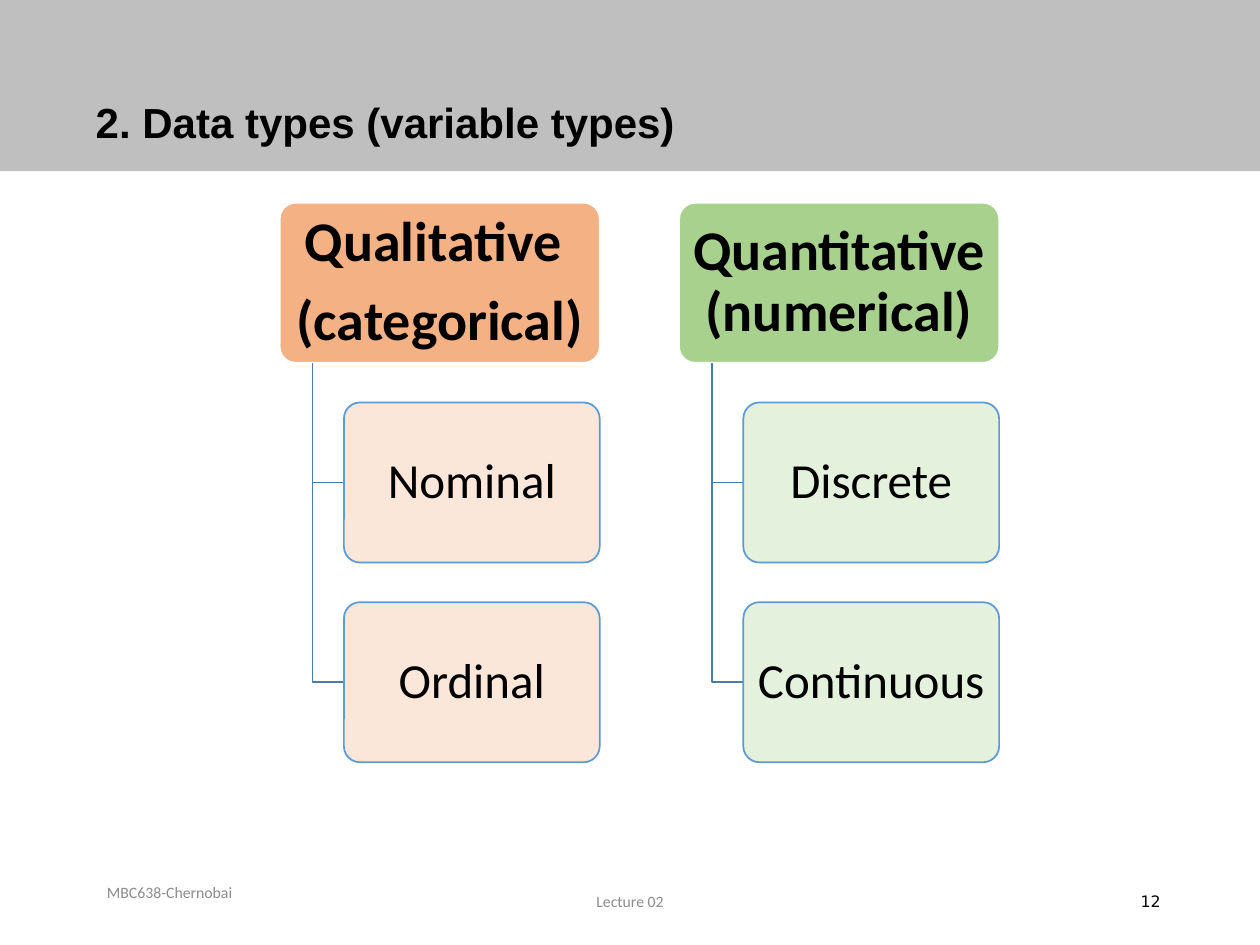
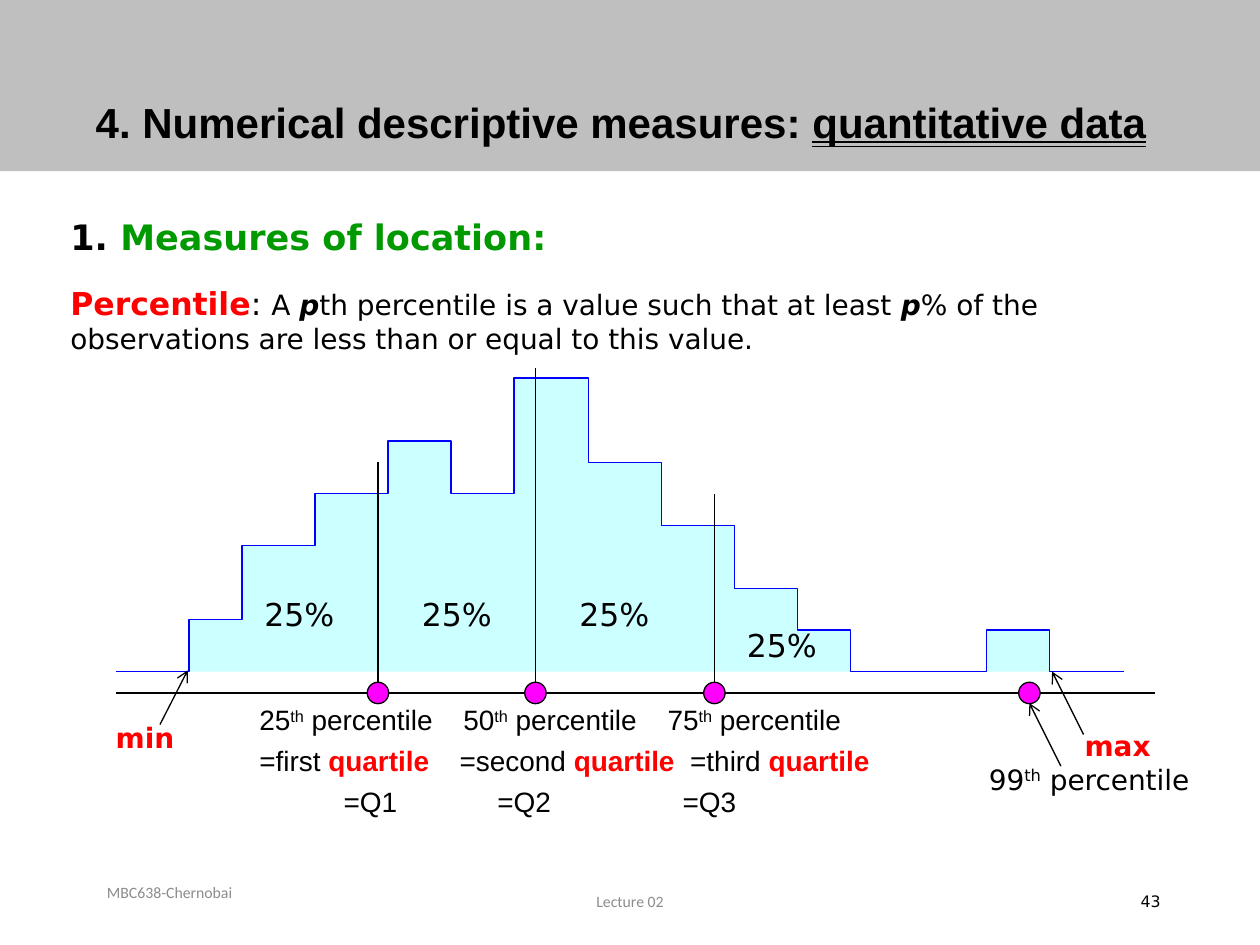
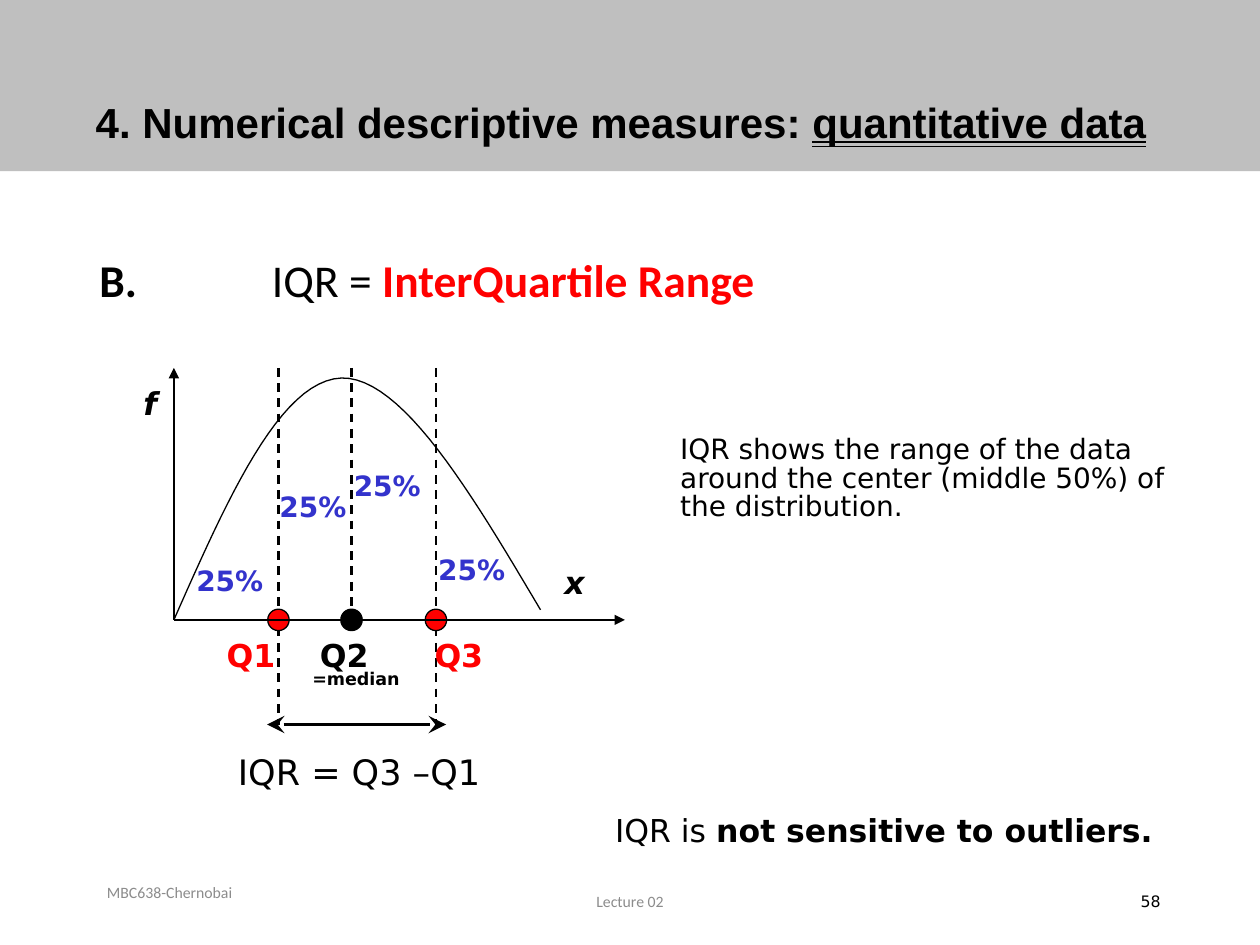
"""Build three statistics lecture slides on data types, percentiles and the IQR."""
from itertools import pairwise

from lxml.etree import SubElement
from pptx import Presentation
from pptx.dml.color import RGBColor
from pptx.enum.dml import MSO_LINE
from pptx.enum.shapes import MSO_CONNECTOR, MSO_SHAPE
from pptx.enum.text import MSO_ANCHOR, MSO_AUTO_SIZE, MSO_UNDERLINE, PP_ALIGN
from pptx.oxml.ns import qn
from pptx.util import Inches, Pt

BLACK, WHITE, RED, GREEN, BLUE = "000000", "FFFFFF", "FF0000", "009900", "0000FF"
GREY, BAND, VIOLET, MAGENTA, CYAN = "8C8C8C", "BFBFBF", "3333CC", "FF00FF", "CCFFFF"
BRANCH, CARD_EDGE = "497CAB", "5B9BD5"
ARIAL, CALIBRI, DEJAVU = "Arial", "Calibri", "DejaVu Sans"
LEFT, CENTER, RIGHT = PP_ALIGN.LEFT, PP_ALIGN.CENTER, PP_ALIGN.RIGHT

BOLD = {"bold": True}
BOLD_ITALIC = {"bold": True, "italic": True}
RED_BOLD = {"bold": True, "color": RED}
SUPER = {"raised": True}

DATA_TYPES_TITLE = [("2. Data types (variable types)", {})]
MEASURES_TITLE = [
    ("4. Numerical descriptive measures: ", {}),
    ("quantitative data", {"underline": MSO_UNDERLINE.DOUBLE_LINE}),
]

DATA_TYPES = [
    (["Qualitative ", "(categorical)"], "F4B183", ["Nominal", "Ordinal"], "FBE5D6"),
    (["Quantitative (numerical)"], "A9D18E", ["Discrete", "Continuous"], "E2F0D9"),
]

PERCENTILE_INTRO = [
    [("1. ", BOLD), ("Measures of location:", {"bold": True, "color": GREEN})],
    [
        ("Percentile", {"bold": True, "color": RED, "size": 18}),
        (": ", {"size": 18}),
        ("A ", {"size": 16}),
        ("p", {"size": 16, **BOLD_ITALIC}),
        ("th percentile is a value such that at least ", {"size": 16}),
        ("p", {"size": 16, **BOLD_ITALIC}),
        ("% of the observations are less than or equal to this value.", {"size": 16}),
    ],
]
HISTOGRAM_END = 8.92
HISTOGRAM = [
    (0.92, 5.33), (1.5, 4.92), (1.92, 4.33), (2.5, 3.92), (3.08, 3.5),
    (3.58, 3.92), (4.08, 3), (4.67, 3.67), (5.25, 4.17), (5.83, 4.67),
    (6.33, 5), (6.75, 5.33), (7.83, 5), (8.33, 5.33),
]
QUARTILE_LINES = [(4.25, 2.92), (3, 3.67), (5.67, 3.92)]
HISTOGRAM_SHARES = [(2, 4.67), (3.25, 4.67), (4.5, 4.67), (5.83, 4.92)]
PERCENTILE_MARKS = [3, 4.25, 5.67, 8.17]
QUARTILES = [("25", "first", "Q1"), ("50", "second", "Q2"), ("75", "third", "Q3")]
QUARTILE_TABS = [(1.04, 2.66, 4.28), (1.04, 2.63, 4.46), (1.71, 2.93, 4.4)]
POINTERS = [((8.42, 6.08), (8.17, 5.58)), ((8.6, 5.83), (8.35, 5.33)), ((1.27, 5.75), (1.49, 5.32))]
EXTREMES = [("max", 8.51, 5.73), ("min", 0.82, 5.67)]

IQR_HEADING = [("B.", BOLD), ("\tIQR = ", {}), ("InterQuartile Range", RED_BOLD)]
IQR_MEANING = "IQR shows the range of the data around the center (middle 50%) of the distribution."
DENSITY_CURVE = [
    ((1.38, 4.92), (1.8, 3.97), (2.22, 3.02), (2.71, 3)),
    ((2.71, 3), (3.19, 2.99), (3.74, 3.91), (4.29, 4.84)),
]
IQR_CUTS = [(2.79, 5, BLACK), (2.21, 5.75, RED), (3.46, 5.75, RED)]
IQR_SHARES = [(1.46, 4.42), (2.12, 3.84), (2.71, 3.67), (3.38, 4.34)]
IQR_NAMES = [("\tQ1", RED_BOLD), ("\tQ2", BOLD), ("\tQ3", RED_BOLD)]
AXIS_NAMES = [("f", 1.04, 3, 0.33), ("x", 4.38, 4.42, 0.92)]


def rgb(value):
    """Turn a hex string into a colour."""
    return RGBColor.from_string(value)


def write(frame, paragraphs, size, font=DEJAVU, align=LEFT, spacing=None, gap=0, tabs=(),
          anchor=MSO_ANCHOR.TOP, **common):
    """Write paragraphs of (text, style) runs into a text frame."""
    frame.word_wrap = True
    frame.auto_size = MSO_AUTO_SIZE.NONE
    frame.vertical_anchor = anchor
    for index, runs in enumerate(paragraphs):
        paragraph = frame.add_paragraph() if index else frame.paragraphs[0]
        paragraph.alignment = align
        paragraph.space_before = Pt(gap if index else 0)
        if spacing:
            paragraph.line_spacing = spacing
        if tabs:
            stops = SubElement(paragraph._p.get_or_add_pPr(), qn("a:tabLst"))
            for stop in tabs[index]:
                SubElement(stops, qn("a:tab"), pos=str(Inches(stop)), algn="l")
        for text, own in runs:
            style = {**common, **own}
            run = paragraph.add_run()
            run.text = text
            run.font.name = font
            run.font.size = Pt(style.get("size", size))
            run.font.bold = style.get("bold", False)
            run.font.italic = style.get("italic", False)
            run.font.underline = style.get("underline", False)
            run.font.color.rgb = rgb(style.get("color", BLACK))
            if style.get("raised"):
                run._r.get_or_add_rPr().set("baseline", "30000")


def add_text(slide, box, paragraphs, size, **options):
    """Add a text box; a plain string is one paragraph of one run."""
    if isinstance(paragraphs, str):
        paragraphs = [[(paragraphs, {})]]
    frame = slide.shapes.add_textbox(*map(Inches, box)).text_frame
    write(frame, paragraphs, size, **options)


def paint(shape, fill=None, line=None, width=0.75, alpha=None):
    """Set the fill and outline of a shape and drop its shadow."""
    shape.shadow.inherit = False
    if fill:
        shape.fill.solid()
        shape.fill.fore_color.rgb = rgb(fill)
        if alpha:
            color = shape.fill._xPr.find(qn("a:solidFill"))[0]
            SubElement(color, qn("a:alpha"), val=str(alpha * 1000))
    else:
        shape.fill.background()
    if line:
        shape.line.color.rgb = rgb(line)
        shape.line.width = Pt(width)
    else:
        shape.line.fill.background()


def add_shape(slide, kind, box, **look):
    """Add a painted preset shape."""
    shape = slide.shapes.add_shape(kind, *map(Inches, box))
    paint(shape, **look)
    return shape


def add_outline(slide, points, **look):
    """Add an open outline through points given in inches."""
    points = [(Inches(x), Inches(y)) for x, y in points]
    builder = slide.shapes.build_freeform(*points[0], scale=1.0)
    builder.add_line_segments(points[1:], close=False)
    paint(builder.convert_to_shape(), **look)


def add_line(slide, start, end, width=0.75, dashed=False, head=None, tail=None, arrow_size="med"):
    """Add a black straight line with optional arrowheads."""
    line = slide.shapes.add_connector(MSO_CONNECTOR.STRAIGHT, *map(Inches, (*start, *end)))
    line.line.color.rgb = rgb(BLACK)
    line.line.width = Pt(width)
    if dashed:
        line.line.dash_style = MSO_LINE.DASH
    for tag, arrow in (("a:headEnd", head), ("a:tailEnd", tail)):
        if arrow:
            SubElement(line.line._get_or_add_ln(), qn(tag), type=arrow, w=arrow_size, len=arrow_size)
    SubElement(line._element.spPr, qn("a:effectLst"))


def add_dot(slide, x, y, fill):
    """Add a small round mark centred on a point."""
    side = 0.17
    add_shape(slide, MSO_SHAPE.OVAL, (x - side / 2, y - side / 2, side, side), fill=fill, line=BLACK)


def add_slide(deck, title_runs, number):
    """Add a slide with the shared band, title and footers."""
    slide = deck.slides.add_slide(deck.slide_layouts[5])
    band = add_shape(slide, MSO_SHAPE.RECTANGLE, (0, 0, 10, 1.36), fill=BAND)
    title = slide.shapes.title
    band._element.addnext(title._element)
    title.left, title.top, title.width, title.height = map(Inches, (0.66, 0.27, 8.62, 1.45))
    middle = MSO_ANCHOR.MIDDLE
    write(title.text_frame, [title_runs], 24, font=ARIAL, spacing=0.9, anchor=middle, bold=True)
    footers = [
        ((0.75, 6.83, 2.08, 0.5), "MBC638-Chernobai", CALIBRI, LEFT, GREY),
        ((3.31, 6.95, 3.38, 0.4), "Lecture 02", CALIBRI, CENTER, GREY),
        ((7.06, 6.95, 2.25, 0.4), str(number), DEJAVU, RIGHT, BLACK),
    ]
    for box, text, font, align, color in footers:
        add_text(slide, box, text, 9, font=font, align=align, anchor=middle, color=color)
    return slide


def add_card(slide, box, lines, size, bold=False, **look):
    """Add a rounded card with centred text."""
    card = add_shape(slide, MSO_SHAPE.ROUNDED_RECTANGLE, box, width=1, **look)
    card.adjustments[0] = 0.1
    frame = card.text_frame
    frame.margin_left = frame.margin_right = Inches(0.06)
    frame.margin_top = frame.margin_bottom = Inches(0.04)
    write(frame, [[(line, {})] for line in lines], size, font=CALIBRI, align=CENTER,
          spacing=0.9, gap=11, anchor=MSO_ANCHOR.MIDDLE, bold=bold)


def build_data_types(deck):
    """Draw the two families of variable types."""
    slide = add_slide(deck, DATA_TYPES_TITLE, 12)
    top, height, pitch = 1.61, 1.27, 1.585
    for column, (family, family_fill, members, member_fill) in enumerate(DATA_TYPES):
        left = 2.22 + 3.17 * column
        stem, member_left = left + 0.26, left + 0.51
        add_card(slide, (left, top, 2.54, height), family, 32, bold=True, fill=family_fill, line=WHITE)
        for row, member in enumerate(members, 1):
            member_top = top + pitch * row
            middle = member_top + height / 2
            add_outline(slide, [(stem, top + height), (stem, middle), (member_left, middle)],
                        line=BRANCH, width=1)
            add_card(slide, (member_left, member_top, 2.03, height), [member], 28,
                     fill=member_fill, alpha=90, line=CARD_EDGE)


def build_percentiles(deck):
    """Draw the histogram cut into quarters."""
    slide = add_slide(deck, MEASURES_TITLE, 43)
    axis = 5.5
    add_text(slide, (0.46, 1.66, 9.08, 1.25), PERCENTILE_INTRO, 20, gap=15)
    add_line(slide, (0.92, axis), (9.17, axis))
    steps = pairwise([*HISTOGRAM, (HISTOGRAM_END, None)])
    outline = [(x, y) for (start, y), (end, _) in steps for x in (start, end)]
    add_outline(slide, outline, fill=CYAN, line=BLUE)
    for x, top in QUARTILE_LINES:
        add_line(slide, (x, top), (x, axis))
    for left, top in HISTOGRAM_SHARES:
        add_text(slide, (left, top, 0.83, 0.4), "25%", 18)
    ranks, ordinals, symbols = [], [], []
    for rank, ordinal, symbol in QUARTILES:
        ranks += [(f"\t{rank}", {}), ("th", SUPER), (" percentile", {})]
        ordinals += [(f"\t={ordinal} ", {}), ("quartile", RED_BOLD)]
        symbols.append((f"\t={symbol}", {}))
    add_text(slide, (0.92, 5.58, 8.83, 1.02), [ranks, ordinals, symbols], 16, font=ARIAL,
             spacing=0.8, gap=8, tabs=QUARTILE_TABS)
    for x in PERCENTILE_MARKS:
        add_dot(slide, x, axis, MAGENTA)
    for start, end in POINTERS:
        add_line(slide, start, end, tail="arrow")
    add_text(slide, (7.75, 6, 2.25, 0.37), [[("99", {}), ("th", SUPER), (" percentile", {})]], 16)
    for name, left, top in EXTREMES:
        add_text(slide, (left, top, 0.89, 0.37), name, 16, **RED_BOLD)


def bezier(corners, steps=24):
    """List points along a cubic curve."""
    def blend(t, a, b, c, d):
        """Weigh one coordinate of the four control points."""
        s = 1 - t
        return a * s**3 + 3 * b * s * s * t + 3 * c * s * t * t + d * t**3

    return [tuple(blend(i / steps, *axis) for axis in zip(*corners)) for i in range(steps + 1)]


def build_iqr(deck):
    """Draw the density curve with the interquartile range."""
    slide = add_slide(deck, MEASURES_TITLE, 58)
    origin, axis, top = 1.38, 4.92, 2.92
    add_text(slide, (0.69, 2, 8.62, 0.56), [IQR_HEADING], 26, font=CALIBRI, spacing=0.9, tabs=[(1.37,)])
    add_line(slide, (origin, axis), (origin, top), tail="triangle")
    rise, fall = map(bezier, DENSITY_CURVE)
    add_outline(slide, rise + fall[1:], line=BLACK)
    for x, bottom, _ in IQR_CUTS:
        add_line(slide, (x, top), (x, bottom), width=1.25, dashed=True)
    add_text(slide, (1.62, 5, 2.75, 0.45), [IQR_NAMES], 18, tabs=[(0.08, 0.82, 1.73)])
    for left, share_top in IQR_SHARES:
        add_text(slide, (left, share_top, 0.83, 0.37), "25%", 16, bold=True, color=VIOLET)
    for x, _, color in IQR_CUTS:
        add_dot(slide, x, axis, color)
    add_line(slide, (origin, axis), (4.96, axis), tail="triangle")
    for name, left, name_top, width in AXIS_NAMES:
        add_text(slide, (left, name_top, width, 0.4), name, 18, **BOLD_ITALIC)
    add_line(slide, (2.12, 5.75), (3.54, 5.75), width=2, head="stealth", tail="stealth", arrow_size="lg")
    add_text(slide, (1.79, 5.91, 3.33, 0.44), "IQR = Q3 –Q1", 20)
    add_text(slide, (0.87, 6.43, 8.38, 0.36), [[("IQR is ", {}), ("not sensitive to outliers.", BOLD)]],
             18, align=RIGHT, spacing=0.85)
    add_text(slide, (2.38, 5.25, 1.25, 0.27), "=median", 10, bold=True)
    add_text(slide, (5.3, 3.42, 4.42, 0.79), IQR_MEANING, 16, spacing=0.85)


def main():
    """Build and save the deck."""
    deck = Presentation()
    deck.slide_width, deck.slide_height = Inches(10), Inches(7.5)
    build_data_types(deck)
    build_percentiles(deck)
    build_iqr(deck)
    deck.save("out.pptx")


if __name__ == "__main__":
    main()
